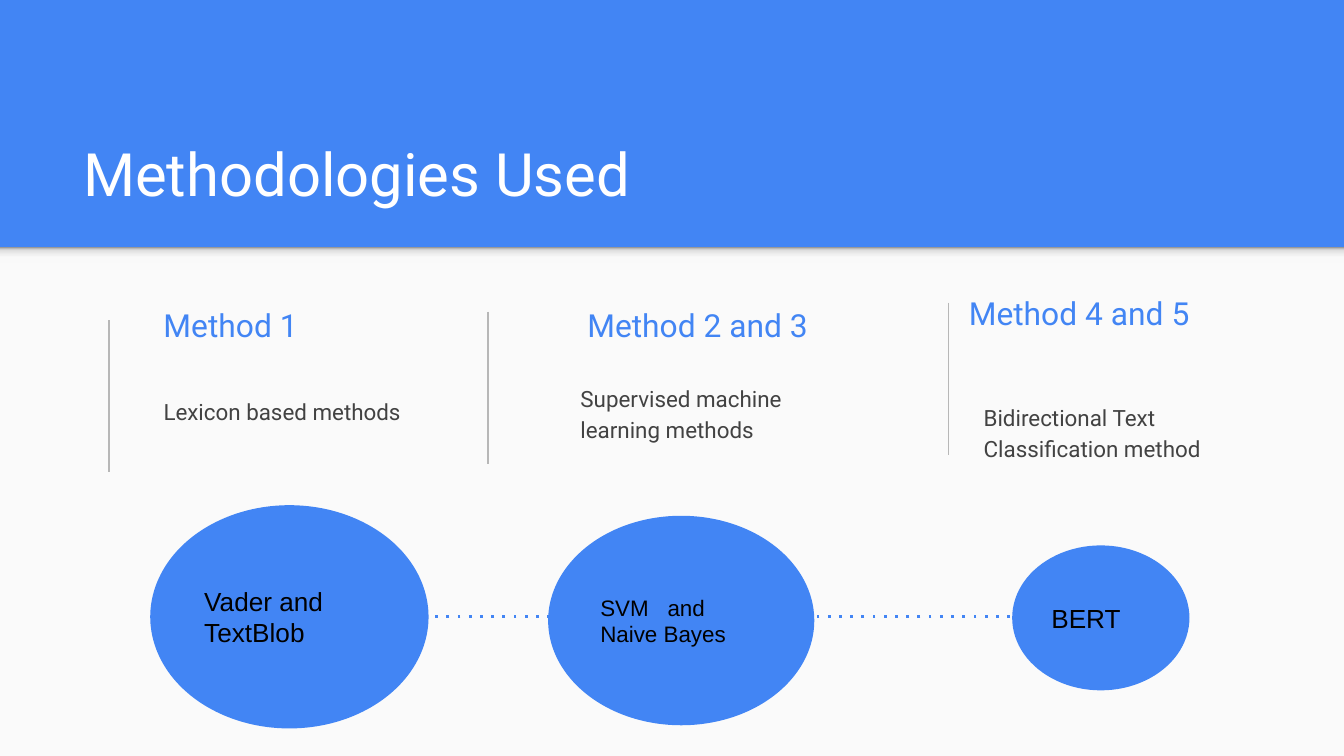
from copy import deepcopy

from lxml import etree
from pptx import Presentation
from pptx import util as u
from pptx.dml.color import RGBColor
from pptx.enum import dml, shapes, text
from pptx.oxml.ns import qn

BLUE = RGBColor(0x42, 0x85, 0xF4)
WHITE = RGBColor(0xFF, 0xFF, 0xFF)
PANEL = RGBColor(0xFA, 0xFA, 0xFA)
RULE = RGBColor(0xB7, 0xB7, 0xB7)
DARK = RGBColor(0x42, 0x42, 0x42)
BLACK = RGBColor(0, 0, 0)
SHADOW_STOPS = [
    (0, RGBColor(0xF9, 0xF9, 0xF9)),
    (0.36, RGBColor(0xF9, 0xF9, 0xF9)),
    (0.8, RGBColor(0xDE, 0xDE, 0xDE)),
    (1, RGBColor(0x99, 0x99, 0x99)),
]


def write(shape, lines, size, color, font="Roboto", anchor=text.MSO_ANCHOR.MIDDLE,
          line_spacing=1.0, space_after=0, tab=None):
    frame = shape.text_frame
    frame.word_wrap = True
    frame.auto_size = text.MSO_AUTO_SIZE.NONE
    frame.vertical_anchor = anchor
    frame.margin_left = frame.margin_right = u.Cm(0.25)
    frame.margin_top = frame.margin_bottom = u.Cm(0.25)
    frame.text = lines
    for paragraph in frame.paragraphs:
        paragraph.alignment = text.PP_ALIGN.LEFT
        paragraph.line_spacing = line_spacing
        paragraph.space_before = u.Pt(0)
        paragraph.space_after = u.Pt(space_after)
        properties = paragraph._p.get_or_add_pPr()
        properties.set("marL", "0")
        properties.set("indent", "0")
        etree.SubElement(properties, qn("a:buNone"))
        if tab:
            tabs = etree.SubElement(properties, qn("a:tabLst"))
            etree.SubElement(tabs, qn("a:tab"), pos=str(tab), algn="l")
        for run in paragraph.runs:
            run.font.name = font
            run.font.size = u.Pt(size)
            run.font.bold = False
            run.font.color.rgb = color


def add_line(slide, x1, y1, x2, y2, color, width):
    line = slide.shapes.add_connector(
        shapes.MSO_CONNECTOR.STRAIGHT, u.Cm(x1), u.Cm(y1), u.Cm(x2), u.Cm(y2))
    line.line.color.rgb = color
    line.line.width = u.Pt(width)
    etree.SubElement(line._element.spPr, qn("a:effectLst"))
    return line


presentation = Presentation()
presentation.slide_width = u.Cm(25.4)
presentation.slide_height = u.Cm(14.29)
slide = presentation.slides.add_slide(presentation.slide_layouts.get_by_name("Comparison"))
slide.background.fill.solid()
slide.background.fill.fore_color.rgb = BLUE

# Light panel with a soft shadow along its top edge, behind everything
panel, shadow = [
    slide.shapes.add_shape(shapes.MSO_SHAPE.RECTANGLE, 0, u.Cm(4.67), u.Cm(25.4), u.Cm(height))
    for height in (9.62, 0.3)
]
for position, shape in enumerate((panel, shadow), start=2):
    shape.shadow.inherit = False
    shape.line.fill.background()
    slide.shapes._spTree.insert(position, shape._element)
panel.fill.solid()
panel.fill.fore_color.rgb = PANEL
shadow.fill.gradient()
shadow.fill.gradient_angle = 90
stop_list = shadow._element.spPr.find(qn("a:gradFill")).find(qn("a:gsLst"))
while len(stop_list) < len(SHADOW_STOPS):
    stop_list.append(deepcopy(stop_list[0]))
for stop, (position, color) in zip(shadow.fill.gradient_stops, SHADOW_STOPS):
    stop.position = position
    stop.color.rgb = color

# Title
title = slide.shapes.title
title.left, title.top, title.width, title.height = map(u.Cm, (1.32, 2.06, 22.83, 2.13))
write(title, "Methodologies Used", 32, WHITE, anchor=text.MSO_ANCHOR.BOTTOM)

# Method columns: rule, heading, description
columns = [
    ((2.06, 6.05), "Method 1", (2.84, 5.59),
     "Lexicon based methods", (2.84, 7.19, 5.03, 1.6)),
    ((9.22, 5.89), "Method 2 and 3", (10.85, 5.59),
     "Supervised machine learning methods", (10.72, 6.96, 5.03, 1.6)),
    ((17.93, 5.72), "Method 4 and 5", (18.06, 5.36),
     "Bidirectional Text Classification method", (18.34, 7.32, 5.61, 1.6)),
]
bodies = [holder for holder in slide.placeholders if holder.placeholder_format.idx in (1, 2, 3)]
for body, (rule, heading, place, description, box) in zip(bodies, columns):
    add_line(slide, *rule, rule[0], rule[1] + 2.88, RULE, 0.75)
    heading_box = slide.shapes.add_textbox(*map(u.Cm, (*place, 5.03, 1.09)))
    write(heading_box, heading, 17, BLUE)
    body.left, body.top, body.width, body.height = map(u.Cm, box)
    write(body, description, 12, DARK, anchor=text.MSO_ANCHOR.TOP,
          line_spacing=1.15, space_after=16)

# Remove the unused placeholder
unused = slide.placeholders[4]._element
unused.getparent().remove(unused)

# Dotted line behind the model ellipses
dots = add_line(slide, 22.48, 11.66, 2.82, 11.66, BLUE, 1.5)
dots.line.dash_style = dml.MSO_LINE.ROUND_DOT
dots.line._ln.find(qn("a:prstDash")).set("val", "dot")

# Model ellipses
models = [
    ("BERT", 14, (19.13, 10.31, 3.35, 2.74), None),
    ("SVM\tand Naive Bayes", 12, (10.36, 9.75, 5.03, 3.96), u.Cm(1.27)),
    ("Vader and\nTextBlob", 14, (2.84, 9.55, 5.26, 4.22), None),
]
for label, size, box, tab in models:
    ellipse = slide.shapes.add_shape(shapes.MSO_SHAPE.OVAL, *map(u.Cm, box))
    ellipse.shadow.inherit = False
    ellipse.fill.solid()
    ellipse.fill.fore_color.rgb = BLUE
    ellipse.line.fill.background()
    write(ellipse, label, size, BLACK, font="Arial", tab=tab)

presentation.save("out.pptx")
